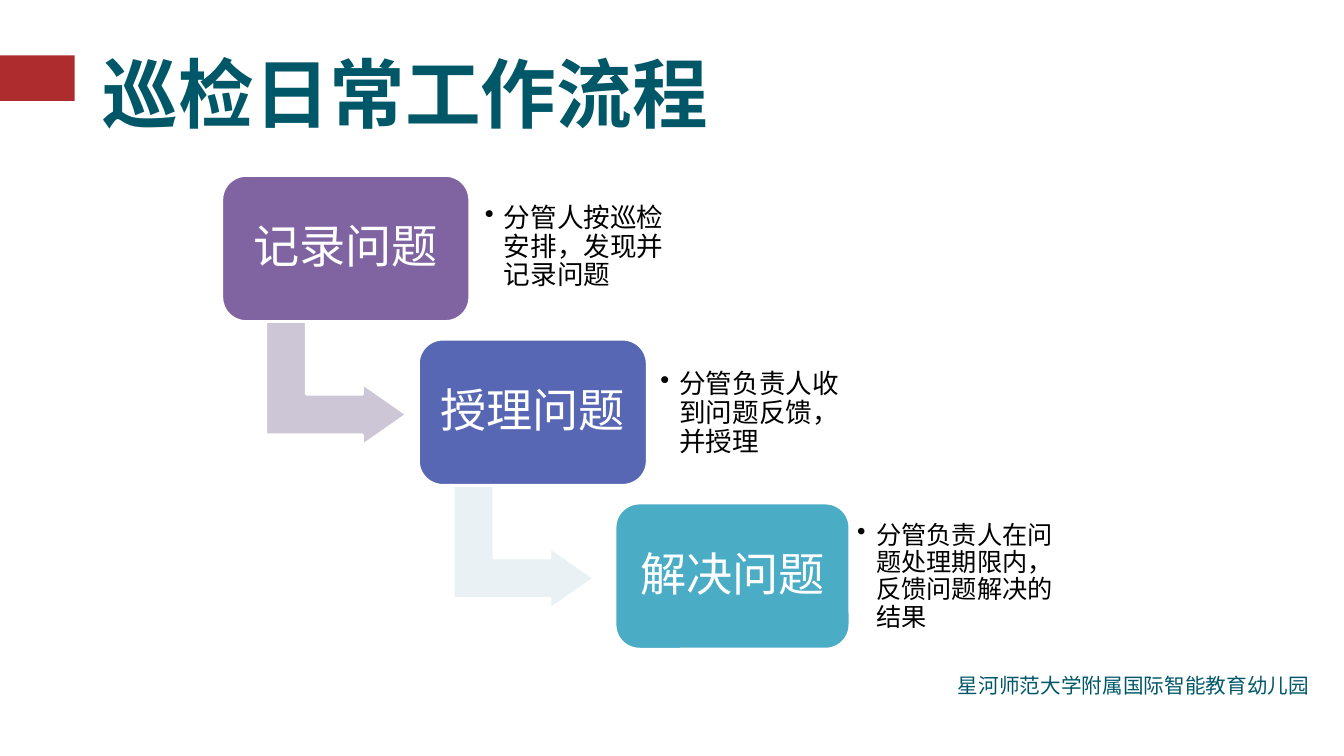
"""Builds the slide on the daily inspection workflow."""
from lxml import etree
from pptx import Presentation
from pptx.dml.color import RGBColor
from pptx.enum.shapes import MSO_SHAPE
from pptx.enum.text import MSO_ANCHOR, MSO_AUTO_SIZE, PP_ALIGN
from pptx.oxml.ns import qn
from pptx.util import Inches, Pt

RECT, ROUNDED, BENT_ARROW = MSO_SHAPE.RECTANGLE, MSO_SHAPE.ROUNDED_RECTANGLE, MSO_SHAPE.BENT_UP_ARROW
LEFT, CENTER = PP_ALIGN.LEFT, PP_ALIGN.CENTER
MIDDLE, NO_FIT = MSO_ANCHOR.MIDDLE, MSO_AUTO_SIZE.NONE
HEADING_FONT, BODY_FONT = "Noto Sans CJK SC", "Calibri"
TEAL, RED, WHITE, BLACK = "005768", "AE2C2E", "FFFFFF", "000000"
TITLE_LAYOUT = 5

STEP_TOP, STEP_PITCH, STEP_HEIGHT = 1.74, 1.625, 1.45
ARROW_WIDTH, ARROW_HEIGHT, ARROW_DROP = 1.23, 1.4, 1.365
NOTE_HEIGHT = 1.17

STEPS = [
    {"name": "记录问题", "left": 2.2, "width": 2.46, "fill": "8064A2",
     "note": "分管人按巡检安排，发现并记录问题",
     "note_box": (4.71, 1.87, 2.08), "note_size": 19, "inset": 0.1,
     "arrow_left": 2.72, "arrow_fill": "CDC6D7"},
    {"name": "授理问题", "left": 4.15, "width": 2.27, "fill": "5767B4",
     "note": "分管负责人收到问题反馈，并授理",
     "note_box": (6.45, 3.52, 2.01), "note_size": 19, "inset": 0.1,
     "arrow_left": 4.58, "arrow_fill": "E9F1F5"},
    {"name": "解决问题", "left": 6.1, "width": 2.33, "fill": "4BACC6",
     "note": "分管负责人在问题处理期限内，反馈问题解决的结果",
     "note_box": (8.43, 5.14, 2.11), "note_size": 18, "inset": 0.07,
     "arrow_left": None, "arrow_fill": None},
]


def color(hex_value):
    """Turn a hex string into a colour."""
    return RGBColor.from_string(hex_value)


def assign(target, values):
    """Set each attribute named in values on target."""
    for name, value in values.items():
        setattr(target, name, value)


class SlideBuilder:
    """Holds the current slide and draws its elements in one style."""

    def __init__(self, slide):
        """Keep the slide to draw on."""
        self.slide = slide

    def fill_frame(self, frame, text, size, ink, font=BODY_FONT, bold=False,
                   align=LEFT, spacing=1.0, wrap=True, inset=None):
        """Fill a text frame with one formatted paragraph and return it."""
        assign(frame, {"word_wrap": wrap, "auto_size": NO_FIT, "vertical_anchor": MIDDLE})
        if inset is not None:
            sides = ("margin_left", "margin_top", "margin_right", "margin_bottom")
            assign(frame, dict.fromkeys(sides, Inches(inset)))
        paragraph = frame.paragraphs[0]
        assign(paragraph, {"alignment": align, "line_spacing": spacing})
        run = paragraph.add_run()
        run.text = text
        assign(run.font, {"name": font, "size": Pt(size), "bold": bold})
        run.font.color.rgb = color(ink)
        etree.SubElement(run._r.get_or_add_rPr(), qn("a:ea"), typeface=font)
        return paragraph

    def title(self, text, box):
        """Place and format the title placeholder."""
        heading = self.slide.shapes.title
        assign(heading, dict(zip(("left", "top", "width", "height"), map(Inches, box))))
        self.fill_frame(heading.text_frame, text, 54, TEAL, HEADING_FONT, bold=True)

    def text(self, text, box, size, ink, **style):
        """Add a text box and return its paragraph."""
        frame = self.slide.shapes.add_textbox(*map(Inches, box)).text_frame
        return self.fill_frame(frame, text, size, ink, **style)

    def bullet(self, text, box, size, inset):
        """Add a text box with one bulleted paragraph."""
        paragraph = self.text(text, box, size, BLACK, spacing=0.9, inset=inset)
        properties = paragraph._p.get_or_add_pPr()
        properties.set("marL", str(Inches(0.19)))
        properties.set("indent", str(Inches(-0.19)))
        etree.SubElement(properties, qn("a:buChar"), char="•")

    def shape(self, kind, box, fill, outline=None, adjustments=(), rotation=0):
        """Add a filled preset shape."""
        shape = self.slide.shapes.add_shape(kind, *map(Inches, box))
        shape.shadow.inherit = False
        shape.rotation = rotation
        shape.fill.solid()
        shape.fill.fore_color.rgb = color(fill)
        if outline:
            shape.line.color.rgb = color(outline)
            shape.line.width = Pt(2)
        else:
            shape.line.fill.background()
        for index, value in enumerate(adjustments):
            shape.adjustments[index] = value
        return shape

    def step(self, index, step):
        """Draw one step with its note and the arrow to the next step."""
        top = STEP_TOP + index * STEP_PITCH
        if step["arrow_fill"]:
            arrow_box = (step["arrow_left"], top + ARROW_DROP, ARROW_WIDTH, ARROW_HEIGHT)
            self.shape(BENT_ARROW, arrow_box, step["arrow_fill"], WHITE, (0.328, 0.25, 0.358), 90)
        card = self.shape(ROUNDED, (step["left"], top, step["width"], STEP_HEIGHT),
                          step["fill"], WHITE, (0.167,))
        self.fill_frame(card.text_frame, step["name"], 33, WHITE,
                        align=CENTER, spacing=0.9, inset=0.13)
        self.bullet(step["note"], (*step["note_box"], NOTE_HEIGHT), step["note_size"], step["inset"])


def main():
    """Build and save the presentation."""
    deck = Presentation()
    assign(deck, {"slide_width": Inches(13.33), "slide_height": Inches(7.5)})
    builder = SlideBuilder(deck.slides.add_slide(deck.slide_layouts[TITLE_LAYOUT]))
    builder.text("星河师范大学附属国际智能教育幼儿园", (9.4, 6.62, 3.69, 0.35), 14.7, TEAL,
                 font=HEADING_FONT, wrap=False)
    for index, step in enumerate(STEPS):
        builder.step(index, step)
    builder.title("巡检日常工作流程", (0.92, 0.4, 11.5, 1.04))
    builder.shape(RECT, (-0.01, 0.55, 0.75, 0.45), RED)
    deck.save("out.pptx")


if __name__ == "__main__":
    main()
